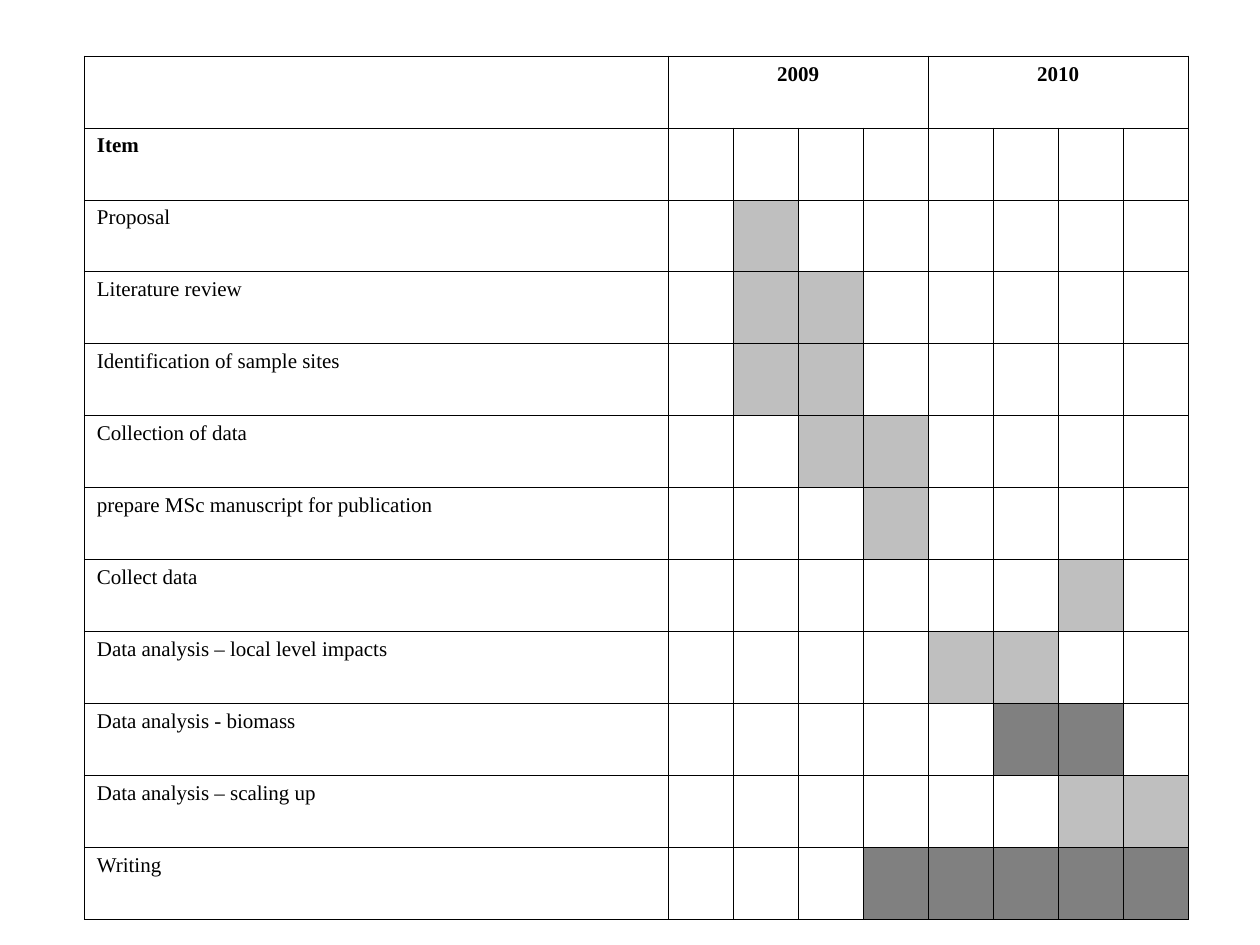
"""Build a slide with a research schedule as a table of quarters over two years."""
from dataclasses import dataclass

from lxml import etree
from pptx import Presentation
from pptx.dml.color import RGBColor
from pptx.enum.text import PP_ALIGN
from pptx.oxml.ns import qn
from pptx.table import Table, _Cell
from pptx.util import Cm, Pt

LEFT, CENTER, JUSTIFY = PP_ALIGN.LEFT, PP_ALIGN.CENTER, PP_ALIGN.JUSTIFY

BLACK = RGBColor(0x00, 0x00, 0x00)
LIGHT_GRAY = RGBColor(0xBF, 0xBF, 0xBF)
DARK_GRAY = RGBColor(0x80, 0x80, 0x80)

FONT = {"name": "Times New Roman", "size": Pt(12)}
HANGING = Cm(0.97)
BORDER_WIDTH = Pt(0.45)
BORDER_SIDES = ("a:lnL", "a:lnR", "a:lnT", "a:lnB")

YEARS = ("2009", "2010")
QUARTERS_PER_YEAR = 4
QUARTERS = len(YEARS) * QUARTERS_PER_YEAR
HEADER_ROWS = 2

TABLE_LEFT, TABLE_TOP = Cm(1.7), Cm(1.13)
ITEM_WIDTH, QUARTER_WIDTH, ROW_HEIGHT = Cm(11.77), Cm(1.31), Cm(1.45)


@dataclass(frozen=True)
class Task:
    """A line of the schedule, with its first and last shaded quarter."""

    item: str
    first: int
    last: int
    color: RGBColor = LIGHT_GRAY


TASKS = (
    Task("Proposal", 2, 2),
    Task("Literature review", 2, 3),
    Task("Identification of sample sites", 2, 3),
    Task("Collection of data", 3, 4),
    Task("prepare MSc manuscript for publication", 4, 4),
    Task("Collect data", 7, 7),
    Task("Data analysis – local level impacts", 5, 6),
    Task("Data analysis - biomass", 6, 7, DARK_GRAY),
    Task("Data analysis – scaling up", 7, 8),
    Task("Writing", 4, 8, DARK_GRAY),
)


def frame_cell(cell: _Cell) -> None:
    """Give a cell thin black borders and no fill."""
    properties = cell._tc.get_or_add_tcPr()
    for side in BORDER_SIDES:
        border = etree.SubElement(properties, qn(side), w=str(int(BORDER_WIDTH)))
        fill = etree.SubElement(border, qn("a:solidFill"))
        etree.SubElement(fill, qn("a:srgbClr"), val=str(BLACK))
    cell.fill.background()


def write_cell(cell: _Cell, text: str, align: PP_ALIGN = LEFT, bold: bool = False) -> None:
    """Write one hanging paragraph into a cell."""
    paragraph = cell.text_frame.paragraphs[0]
    paragraph.alignment = align
    properties = paragraph._p.get_or_add_pPr()
    properties.set("marL", str(int(HANGING)))
    properties.set("indent", str(-int(HANGING)))
    run = paragraph.add_run()
    run.text = text
    for attribute, value in {**FONT, "bold": bold}.items():
        setattr(run.font, attribute, value)
    run.font.color.rgb = BLACK


def write_headers(schedule: Table) -> None:
    """Merge and label the years and label the item column."""
    for index, year in enumerate(YEARS):
        first = 1 + index * QUARTERS_PER_YEAR
        year_cell = schedule.cell(0, first)
        year_cell.merge(schedule.cell(0, first + QUARTERS_PER_YEAR - 1))
        write_cell(year_cell, year, CENTER, bold=True)
    write_cell(schedule.cell(1, 0), "Item", JUSTIFY, bold=True)


def write_task(schedule: Table, row: int, task: Task) -> None:
    """Name a task and shade its quarters."""
    write_cell(schedule.cell(row, 0), task.item)
    for quarter in range(task.first, task.last + 1):
        shade = schedule.cell(row, quarter).fill
        shade.solid()
        shade.fore_color.rgb = task.color


def main() -> None:
    """Create the presentation and save it."""
    deck = Presentation()
    deck.slide_width, deck.slide_height = Cm(25.4), Cm(19.05)
    slide = deck.slides.add_slide(deck.slide_layouts[6])
    rows = HEADER_ROWS + len(TASKS)
    schedule = slide.shapes.add_table(
        rows, 1 + QUARTERS, TABLE_LEFT, TABLE_TOP,
        ITEM_WIDTH + QUARTERS * QUARTER_WIDTH, rows * ROW_HEIGHT,
    ).table
    schedule.first_row = schedule.horz_banding = False
    for index, column in enumerate(schedule.columns):
        column.width = QUARTER_WIDTH if index else ITEM_WIDTH
    for cell in schedule.iter_cells():
        frame_cell(cell)
    write_headers(schedule)
    for row, task in enumerate(TASKS, HEADER_ROWS):
        write_task(schedule, row, task)
    deck.save("out.pptx")


if __name__ == "__main__":
    main()
